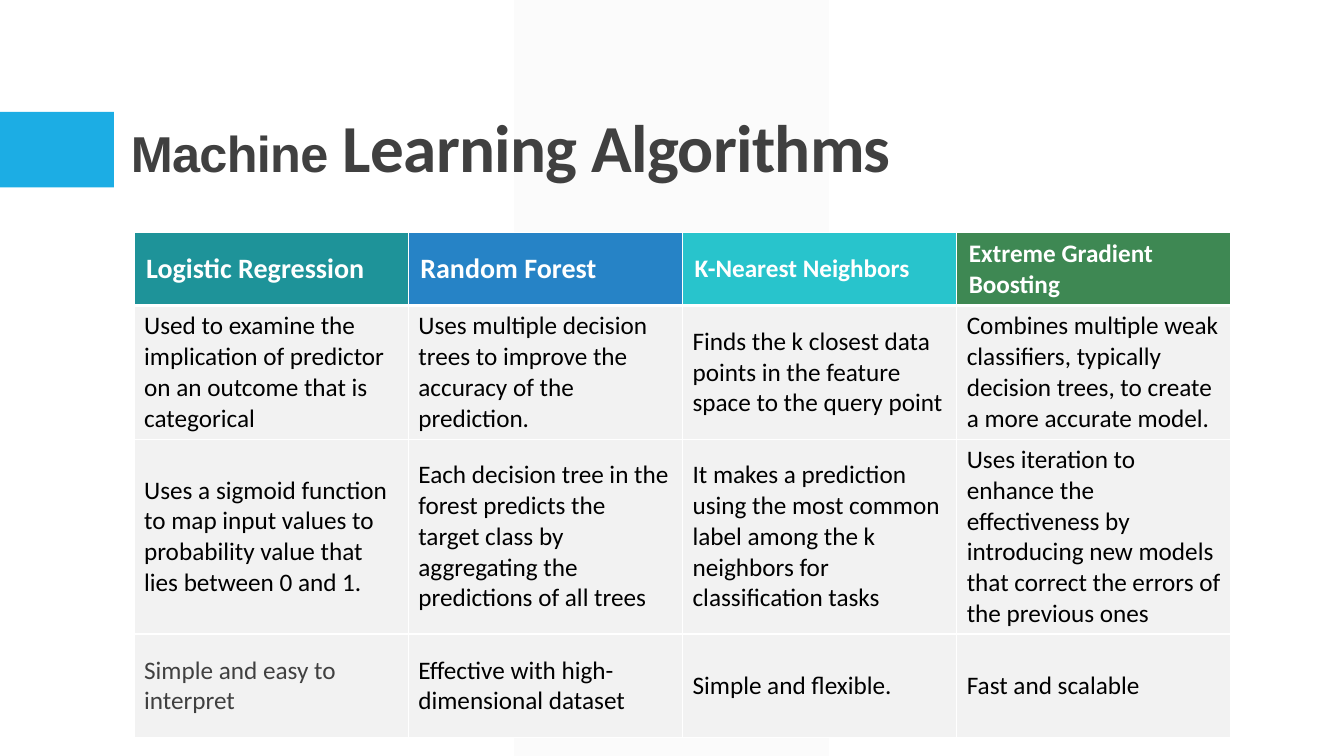
from dataclasses import dataclass

from lxml.etree import SubElement
from pptx import Presentation
from pptx.dml.color import RGBColor
from pptx.enum.shapes import MSO_SHAPE
from pptx.enum.text import MSO_ANCHOR
from pptx.oxml import parse_xml
from pptx.oxml.ns import nsdecls, qn
from pptx.util import Inches, Pt

COLORS = {
    "white": "FFFFFF",
    "band": "F2F2F2",
    "accent": "1CADE4",
    "dark": "404040",
    "black": "000000",
    "teal": "1E9399",
    "blue": "2683C6",
    "cyan": "28C4CC",
    "green": "3E8853",
}


@dataclass
class Block:
    kind: MSO_SHAPE
    left: float
    top: float
    width: float
    height: float
    color: str
    opacity: int = 100


@dataclass
class Algorithm:
    name: str
    color: str
    size: int
    facts: tuple[str, str, str]


BLOCKS = [
    Block(MSO_SHAPE.PARALLELOGRAM, 5.1, 0, 3.12, 7.5, "band", 30),
    Block(MSO_SHAPE.RECTANGLE, 0, 1.11, 1.13, 0.75, "accent"),
]

ALGORITHMS = [
    Algorithm("Logistic Regression", "teal", 20, (
        "Used to examine the implication of predictor on an outcome that is categorical",
        "Uses a sigmoid function to map input values to probability value that lies between 0 and 1.",
        "Simple and easy to interpret",
    )),
    Algorithm("Random Forest", "blue", 20, (
        "Uses multiple decision trees to improve the accuracy of the prediction.",
        "Each decision tree in the forest predicts the target class by aggregating "
        "the predictions of all trees",
        "Effective with high-dimensional dataset",
    )),
    Algorithm("K-Nearest Neighbors", "cyan", 18, (
        "Finds the k closest data points in the feature space to the query point",
        "It makes a prediction using the most common label among the k neighbors "
        "for classification tasks",
        "Simple and flexible.",
    )),
    Algorithm("Extreme Gradient Boosting", "green", 18, (
        "Combines multiple weak classifiers, typically decision trees, to create "
        "a more accurate model.",
        "Uses iteration to enhance the effectiveness by introducing new models "
        "that correct the errors of the previous ones",
        "Fast and scalable",
    )),
]

ROW_HEIGHTS = [0.72, 1.33, 1.93, 1.03]
COL_WIDTH = 2.72


def rgb(name: str) -> RGBColor:
    return RGBColor.from_string(COLORS[name])


def add_run(p, text: str, size: int, color: str, bold: bool, font: str = "Calibri"):
    r = p.add_run()
    r.text = text
    r.font.size = Pt(size)
    r.font.name = font
    r.font.bold = bold
    r.font.color.rgb = rgb(color)
    return r


def add_block(s, block: Block) -> None:
    sp = s.shapes.add_shape(block.kind, Inches(block.left), Inches(block.top),
                            Inches(block.width), Inches(block.height))
    if block.kind == MSO_SHAPE.PARALLELOGRAM:
        sp.adjustments[0] = 0
    sp.shadow.inherit = False
    sp.line.fill.background()
    sp.fill.solid()
    sp.fill.fore_color.rgb = rgb(block.color)
    if block.opacity < 100:
        color = sp.fill._xPr.find(qn("a:solidFill"))[0]
        SubElement(color, qn("a:alpha")).set("val", str(block.opacity * 1000))


def add_title(s) -> None:
    tf = s.shapes.add_textbox(Inches(1.2), Inches(0.31), Inches(11), Inches(1.59)).text_frame
    tf.word_wrap = True
    tf.vertical_anchor = MSO_ANCHOR.BOTTOM
    p = tf.paragraphs[0]
    p.line_spacing = 0.9
    for text, size, font in (("Machine", 36, "Arial"), (" Learning Algorithms", 48, "Calibri")):
        r = add_run(p, text, size, "dark", True, font)
        r.font._element.set("spc", "-50")


def set_borders(cell, bottom: int) -> None:
    tc_pr = cell._tc.get_or_add_tcPr()
    widths = {"lnL": 1, "lnR": 1, "lnT": 1, "lnB": bottom}
    for i, (side, width) in enumerate(widths.items()):
        tc_pr.insert(i, parse_xml(
            f'<a:{side} {nsdecls("a")} w="{Pt(width)}"><a:solidFill>'
            f'<a:srgbClr val="{COLORS["white"]}"/></a:solidFill></a:{side}>'))


def fill_cell(cell, text: str, fill: str, size: int, color: str, header: bool) -> None:
    cell.fill.solid()
    cell.fill.fore_color.rgb = rgb(fill)
    cell.vertical_anchor = MSO_ANCHOR.MIDDLE
    if header:
        cell.margin_left = cell.margin_right = Inches(0.12)
        cell.margin_top = cell.margin_bottom = Inches(0.06)
    add_run(cell.text_frame.paragraphs[0], text, size, color, header)
    set_borders(cell, 3 if header else 1)


def add_algorithm_table(s) -> None:
    cols = len(ALGORITHMS)
    table = s.shapes.add_table(len(ROW_HEIGHTS), cols, Inches(1.33), Inches(2.31),
                               Inches(COL_WIDTH * cols), Inches(sum(ROW_HEIGHTS))).table
    table.horz_banding = False
    for row, height in zip(table.rows, ROW_HEIGHTS):
        row.height = Inches(height)
    for col, algorithm in enumerate(ALGORITHMS):
        table.columns[col].width = Inches(COL_WIDTH)
        fill_cell(table.cell(0, col), algorithm.name, algorithm.color,
                  algorithm.size, "white", True)
        for row, fact in enumerate(algorithm.facts, start=1):
            color = "dark" if (row, col) == (3, 0) else "black"
            fill_cell(table.cell(row, col), fact, "band", 18, color, False)


def main() -> None:
    prs = Presentation()
    prs.slide_width = Inches(13.33)
    prs.slide_height = Inches(7.5)
    s = prs.slides.add_slide(prs.slide_layouts[6])
    for block in BLOCKS:
        add_block(s, block)
    add_title(s)
    add_algorithm_table(s)
    prs.save("out.pptx")


if __name__ == "__main__":
    main()
